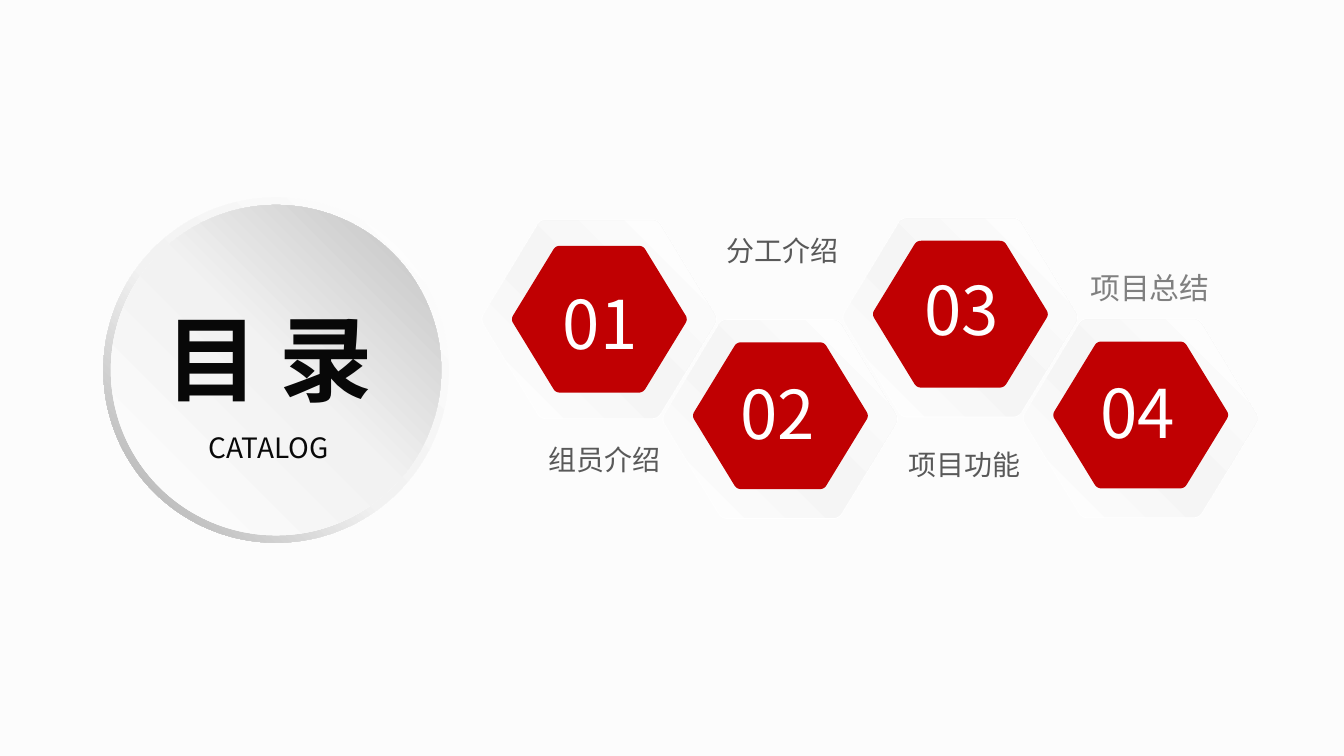
import pptx
import pptx.dml.color
import pptx.enum.dml
import pptx.enum.shapes
import pptx.enum.text
import pptx.oxml
import pptx.oxml.ns
import pptx.util
from lxml import etree

Pt = pptx.util.Pt
ALIGN = pptx.enum.text.PP_ALIGN
ANCHOR = pptx.enum.text.MSO_ANCHOR
OVAL = pptx.enum.shapes.MSO_SHAPE.OVAL
DONUT = pptx.enum.shapes.MSO_SHAPE.DONUT
FONT = "Noto Sans CJK SC"
RED = "C00002"
WHITE = "FFFFFF"
HEXAGON_STOPS = [(0, WHITE), (47, "F5F5F5"), (100, WHITE)]


def color(value):
    return pptx.dml.color.RGBColor.from_string(value)


def fill_solid(shape, value):
    shape.fill.solid()
    shape.fill.fore_color.rgb = color(value)


def fill_gradient(shape, stops, angle):
    shape.fill.gradient()
    shape.fill.gradient_angle = angle
    qn = pptx.oxml.ns.qn
    stop_list = shape._element.spPr.find(qn("a:gradFill")).find(qn("a:gsLst"))
    for stop in list(stop_list):
        stop_list.remove(stop)
    for position, value in stops:
        stop = etree.SubElement(stop_list, qn("a:gs"), pos=str(position * 1000))
        etree.SubElement(stop, qn("a:srgbClr"), val=value)


def remove_effects(shape):
    shape.shadow.inherit = False
    shape.line.fill.background()


def write_text(shape, text, size, value, bold=False, align=ALIGN.LEFT,
               anchor=ANCHOR.TOP):
    frame = shape.text_frame
    frame.word_wrap = True
    frame.auto_size = pptx.enum.text.MSO_AUTO_SIZE.NONE
    frame.vertical_anchor = anchor
    paragraph = frame.paragraphs[0]
    paragraph.alignment = align
    paragraph.space_before = Pt(0)
    run = paragraph.add_run()
    run.text = text
    run.font.size = Pt(size)
    run.font.bold = bold
    run.font.color.rgb = color(value)
    run.font.name = FONT
    etree.SubElement(run._r.get_or_add_rPr(), pptx.oxml.ns.qn("a:ea"), typeface=FONT)


def add_text(slide, left, top, width, height, text, **style):
    shape = slide.shapes.add_textbox(Pt(left), Pt(top), Pt(width), Pt(height))
    write_text(shape, text, **style)


def place_placeholder(slide, placeholder, left, top, width, height, text, **style):
    placeholder.left, placeholder.top = Pt(left), Pt(top)
    placeholder.width, placeholder.height = Pt(width), Pt(height)
    write_text(placeholder, text, **style)
    slide.shapes._spTree.append(placeholder._element)


def add_disc(slide, kind, left, top, size, stops, angle):
    shape = slide.shapes.add_shape(kind, Pt(left), Pt(top), Pt(size), Pt(size))
    fill_gradient(shape, stops, angle)
    remove_effects(shape)
    return shape


def rounded_corner(before, corner, after, cut):
    def toward(end):
        length = ((end[0] - corner[0]) ** 2 + (end[1] - corner[1]) ** 2) ** 0.5
        return [c + (e - c) * cut / length for c, e in zip(corner, end)]

    start, finish = toward(before), toward(after)
    steps = [step / 6 for step in range(7)]
    return [
        tuple((1 - t) ** 2 * s + 2 * t * (1 - t) * c + t ** 2 * f
              for s, c, f in zip(start, corner, finish))
        for t in steps
    ]


def add_hexagon(slide, left, top, width, height):
    middle_x, middle_y = left + width / 2, top + height / 2
    corners = [
        (middle_x + x * width, middle_y + y * height)
        for x, y in [(0.507, 0), (0.25, 0.5), (-0.25, 0.5),
                     (-0.507, 0), (-0.25, -0.5), (0.25, -0.5)]
    ]
    points = []
    for index, corner in enumerate(corners):
        following = corners[(index + 1) % len(corners)]
        points += rounded_corner(corners[index - 1], corner, following, 0.026 * width)
    outline = [(Pt(x), Pt(y)) for x, y in points]
    builder = slide.shapes.build_freeform(*outline[0])
    builder.add_line_segments(outline[1:], close=True)
    shape = builder.convert_to_shape()
    remove_effects(shape)
    return shape


def add_title_disc(slide, left, top):
    ring = add_disc(slide, DONUT, left, top, 185,
                    [(0, WHITE), (55, "F2F2F2"), (100, "A6A6A6")], 225)
    ring.adjustments[0] = 0.049
    add_disc(slide, OVAL, left + 4, top + 4, 177,
             [(0, WHITE), (51, "F2F2F2"), (100, "BFBFBF")], 45)
    place_placeholder(slide, slide.shapes.title, left + 26, top + 52, 130.5, 68,
                      "目 录", size=50, value="080808", bold=True)
    place_placeholder(slide, slide.placeholders[1], left + 34.5, top + 119, 108, 30,
                      "CATALOG", size=15, value="080808",
                      align=ALIGN.CENTER, anchor=ANCHOR.MIDDLE)


def add_number_tile(slide, left, top, number, number_offset, core_top):
    fill_solid(add_hexagon(slide, left, top, 126, 107), WHITE)
    face = add_hexagon(slide, left + 0.5, top + 0.5, 125, 106)
    fill_gradient(face, HEXAGON_STOPS, 45)
    fill_solid(add_hexagon(slide, left + 16.3, top + core_top, 93.6, 78.7), RED)
    offset_x, offset_y = number_offset
    add_text(slide, left + offset_x, top + offset_y, 66, 51, number,
             size=36, value=WHITE)


def main():
    presentation = pptx.Presentation()
    presentation.slide_width, presentation.slide_height = Pt(720), Pt(405)
    slide = presentation.slides.add_slide(presentation.slide_layouts[0])
    slide.background.fill.solid()
    slide.background.fill.fore_color.rgb = color("FCFCFC")

    add_title_disc(slide, 55.4, 105.8)

    tiles = [
        (451.4, 116.6, "03", (36.7, 23.8), 12.4),
        (258, 117.5, "01", (36.5, 30.1), 14.2),
        (355, 171, "02", (34.5, 24.8), 12.4),
        (548, 170.6, "04", (34.5, 24.5), 12.4),
    ]
    for tile in tiles:
        add_number_tile(slide, *tile)

    labels = [
        (286.6, 233.3, "组员介绍", 15, "595959"),
        (382.4, 121.5, "分工介绍", 15, "595959"),
        (479.4, 236, "项目功能", 15, "595959"),
        (577.1, 141, "项目总结", 16, "808080"),
    ]
    for left, top, text, size, value in labels:
        add_text(slide, left, top, 86, 26, text, size=size, value=value)

    presentation.save("out.pptx")


if __name__ == "__main__":
    main()
